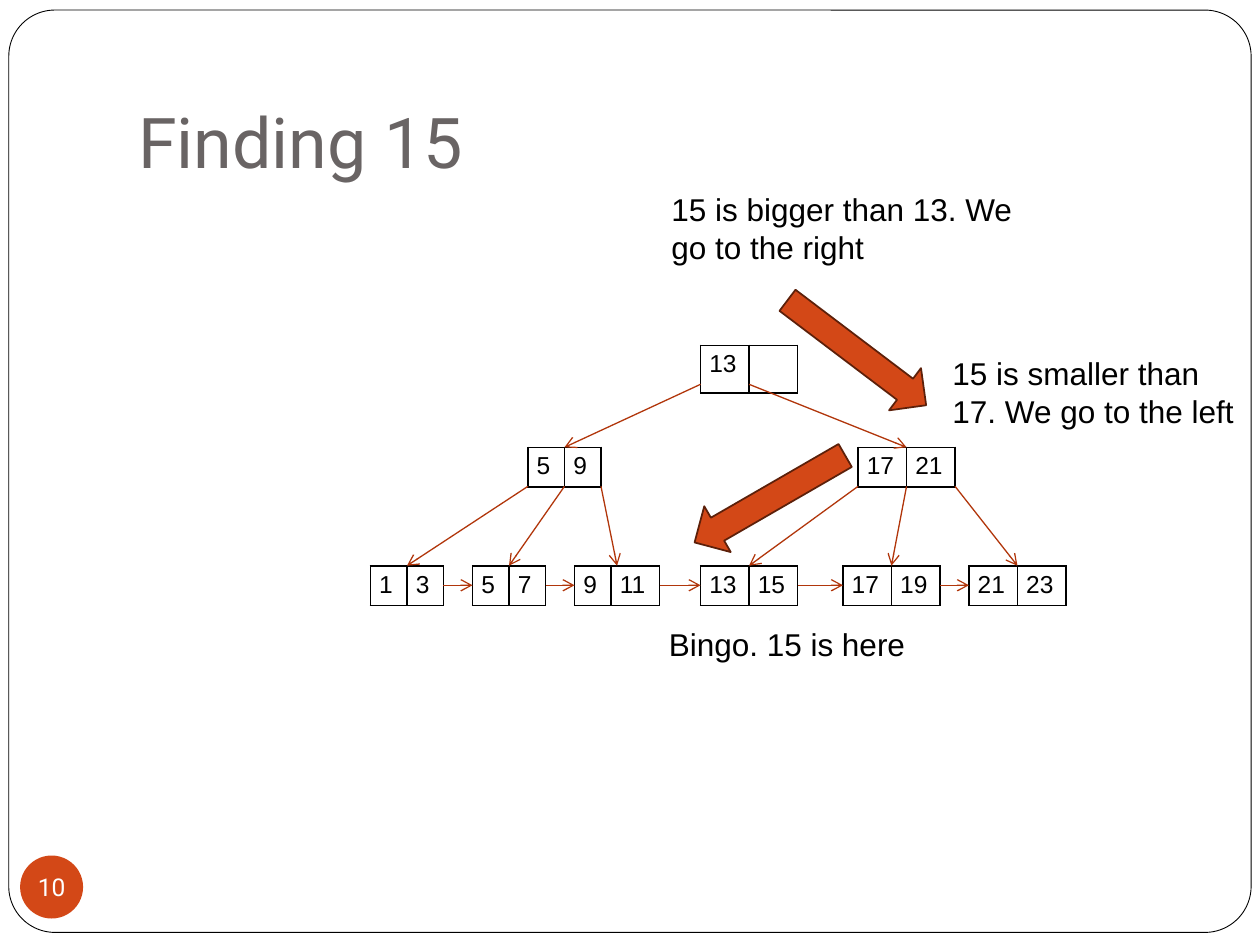
"""Build a slide that traces the search for 15 through a B+ tree."""
from pptx import Presentation
from pptx.dml.color import RGBColor
from pptx.enum import shapes, text
from pptx.oxml import parse_xml
from pptx.oxml.ns import nsdecls
from pptx.util import Inches, Pt

BLACK, WHITE, GREY = "000000", "FFFFFF", "696464"
ORANGE, RUST, BROWN = "D34817", "B1360B", "5C200A"
ROW_HEIGHT = 0.31
ONE_DIGIT, TWO_DIGITS = 0.29, 0.77 / 2

ROOT = (5.56, 2.74, ("13", ""))
BRANCHES = [(4.19, 3.55, ("5", "9")), (6.81, 3.55, ("17", "21"))]
LEAVES = [
    (left, 4.49, keys)
    for left, keys in [
        (2.94, ("1", "3")),
        (3.75, ("5", "7")),
        (4.56, ("9", "11")),
        (5.56, ("13", "15")),
        (6.69, ("17", "19")),
        (7.69, ("21", "23")),
    ]
]
FAMILIES = [(ROOT, BRANCHES), (BRANCHES[0], LEAVES[:3]), (BRANCHES[1], LEAVES[3:])]
STEP_ARROWS = [(6.11, 2.59, 37.1), (5.42, 3.75, 150)]
NOTES = [
    ("15 is bigger than 13. We go to the right", (5.23, 1.46, 3.23, 0.71)),
    ("15 is smaller than 17. We go to the left", (7.46, 2.76, 2.45, 0.71)),
    ("Bingo. 15 is here", (5.21, 4.91, 2.23, 0.4)),
]


def color(value):
    return RGBColor.from_string(value)


def write(frame, content, size=18, font="Arial", ink=BLACK, align=text.PP_ALIGN.LEFT,
          anchor=text.MSO_ANCHOR.TOP, margins=(0.1, 0.05, 0.1, 0.05), wrap=True):
    frame.word_wrap = wrap
    frame.vertical_anchor = anchor
    frame.margin_left, frame.margin_top, frame.margin_right, frame.margin_bottom = map(Inches, margins)
    style_text(frame.paragraphs[0], content, size, font, ink, align)


def style_text(paragraph, content, size, font, ink, align=text.PP_ALIGN.LEFT):
    paragraph.alignment = align
    run = paragraph.add_run()
    run.text = content
    run.font.size, run.font.name, run.font.bold = Pt(size), font, False
    run.font.color.rgb = color(ink)


def add_box(slide, kind, box, fill, line=None, weight=1):
    shape = slide.shapes.add_shape(kind, *map(Inches, box))
    shape.shadow.inherit = False
    shape.fill.solid()
    shape.fill.fore_color.rgb = color(fill)
    if line:
        shape.line.color.rgb = color(line)
        shape.line.width = Pt(weight)
    else:
        shape.line.fill.background()
    return shape


def add_text(slide, content, box, **formatting):
    write(slide.shapes.add_textbox(*map(Inches, box)).text_frame, content, **formatting)


def column_widths(keys):
    return [ONE_DIGIT if len(key) == 1 else TWO_DIGITS for key in keys]


def add_node(slide, node):
    left, top, keys = node
    widths = column_widths(keys)
    box = (left, top, sum(widths), ROW_HEIGHT)
    table = slide.shapes.add_table(1, len(keys), *map(Inches, box)).table
    table.first_row = table.horz_banding = False
    table.rows[0].height = Inches(ROW_HEIGHT)
    for index, (key, width) in enumerate(zip(keys, widths)):
        table.columns[index].width = Inches(width)
        cell = table.cell(0, index)
        cell.margin_left = cell.margin_right = Inches(0.07)
        cell.margin_top = cell.margin_bottom = Inches(0.04)
        style_text(cell.text_frame.paragraphs[0], key, 14, "Arial", BLACK)
        properties = cell._tc.get_or_add_tcPr()
        for side in ("lnL", "lnR", "lnT", "lnB"):
            properties.append(parse_xml(
                f'<a:{side} {nsdecls("a")} w="12700"><a:solidFill>'
                f'<a:srgbClr val="{BLACK}"/></a:solidFill></a:{side}>'))
        cell.fill.background()


def add_arrow(slide, start, end):
    connector = slide.shapes.add_connector(
        shapes.MSO_CONNECTOR.STRAIGHT, *map(Inches, (*start, *end)))
    connector.line.color.rgb = color(RUST)
    connector.line.width = Pt(0.75)
    connector.line._get_or_add_ln().append(
        parse_xml(f'<a:tailEnd {nsdecls("a")} type="arrow"/>'))
    connector._element.spPr.append(parse_xml(f'<a:effectLst {nsdecls("a")}/>'))


def link_children(slide, parent, children):
    left, top, keys = parent
    first, second = column_widths(keys)
    starts = (left, left + first, left + first + second)
    for start, (child_left, child_top, child_keys) in zip(starts, children):
        middle = child_left + sum(column_widths(child_keys)) / 2
        add_arrow(slide, (start, top + ROW_HEIGHT), (middle, child_top))


def main():
    presentation = Presentation()
    presentation.slide_width, presentation.slide_height = Inches(10), Inches(7.5)
    slide = presentation.slides.add_slide(presentation.slide_layouts[6])
    kinds = shapes.MSO_SHAPE

    frame = add_box(slide, kinds.ROUNDED_RECTANGLE, (0.07, 0.08, 9.86, 7.32), WHITE, BLACK, 0.5)
    frame.adjustments[0] = 0.05
    add_text(slide, "Finding 15", (1, 0.3, 8.5, 1.25), size=40, font="Roboto", ink=GREY,
             anchor=text.MSO_ANCHOR.BOTTOM, margins=(0.1, 0.05, 0.1, 0.1))
    badge = add_box(slide, kinds.OVAL, (0.16, 6.79, 0.5, 0.5), ORANGE)
    write(badge.text_frame, "10", size=14, font="Roboto", ink=WHITE, align=text.PP_ALIGN.CENTER,
          anchor=text.MSO_ANCHOR.MIDDLE, margins=(0, 0, 0, 0), wrap=False)

    for node in [*LEAVES, *BRANCHES, ROOT]:
        add_node(slide, node)
    for parent, children in FAMILIES:
        link_children(slide, parent, children)
    for (left, top, keys), following in zip(LEAVES, LEAVES[1:]):
        middle = top + ROW_HEIGHT / 2
        add_arrow(slide, (left + sum(column_widths(keys)), middle), (following[0], middle))

    for left, top, angle in STEP_ARROWS:
        arrow = add_box(slide, kinds.RIGHT_ARROW, (left, top, 1.38, 0.42), ORANGE, BROWN)
        arrow.rotation = angle
    for content, box in NOTES:
        add_text(slide, content, box)
    presentation.save("out.pptx")


if __name__ == "__main__":
    main()
